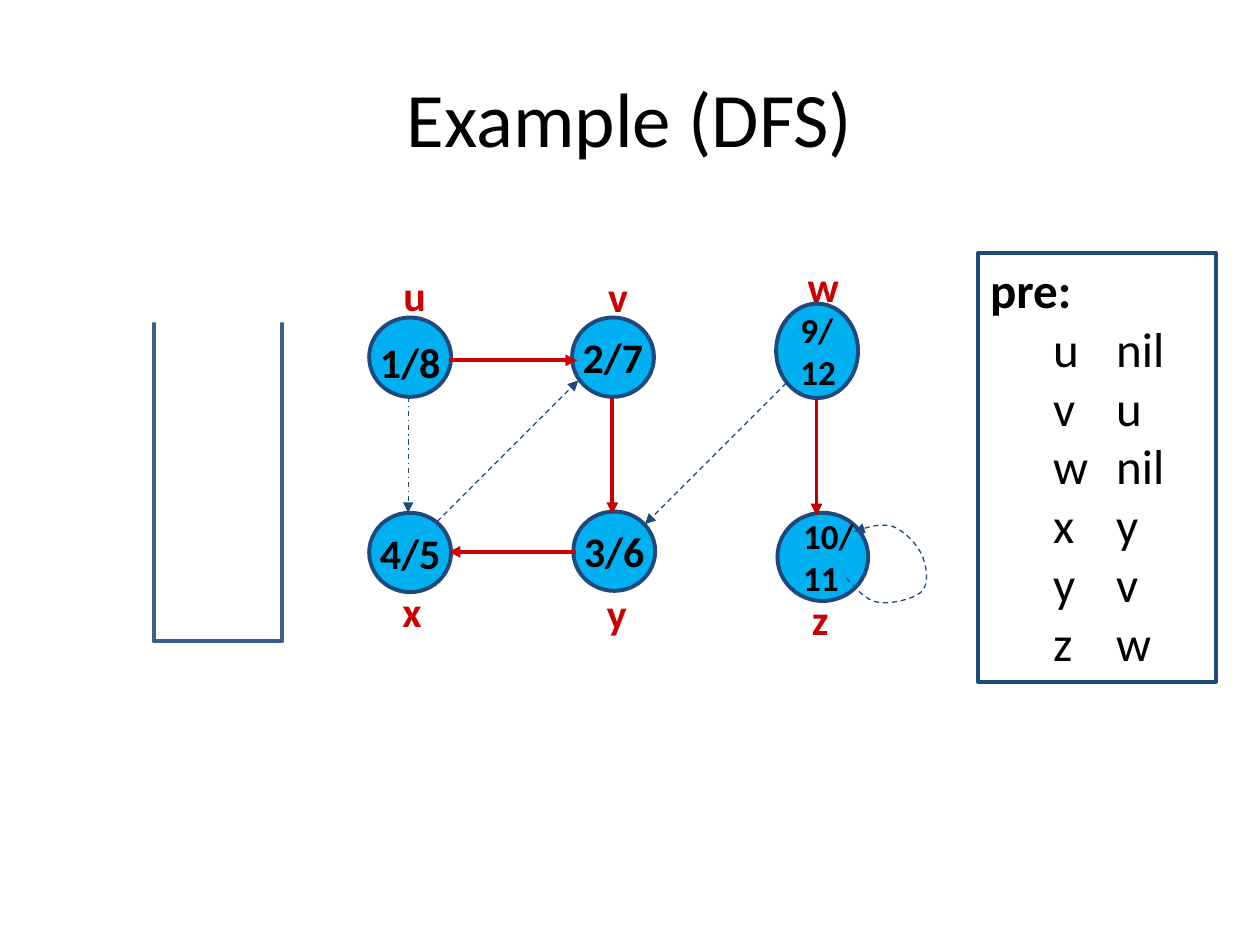
from dataclasses import dataclass
from typing import Optional

from lxml import etree
from pptx import Presentation
from pptx.dml.color import RGBColor
from pptx.enum.dml import MSO_LINE
from pptx.enum.shapes import MSO_CONNECTOR, MSO_SHAPE
from pptx.enum.text import MSO_ANCHOR, PP_ALIGN
from pptx.oxml.ns import qn
from pptx.util import Inches, Pt

BLACK = RGBColor(0x00, 0x00, 0x00)
WHITE = RGBColor(0xFF, 0xFF, 0xFF)
SKY = RGBColor(0x00, 0xB0, 0xF0)
NAVY = RGBColor(0x1F, 0x49, 0x7D)
STEEL = RGBColor(0x3A, 0x5F, 0x8C)
RED = RGBColor(0xCC, 0x00, 0x00)
DARK_RED = RGBColor(0xC0, 0x00, 0x00)

OVAL, RECTANGLE = MSO_SHAPE.OVAL, MSO_SHAPE.RECTANGLE
STRAIGHT = MSO_CONNECTOR.STRAIGHT
DASH, DASH_DOT = MSO_LINE.DASH, MSO_LINE.DASH_DOT
LEFT, CENTER = PP_ALIGN.LEFT, PP_ALIGN.CENTER
TOP, MIDDLE = MSO_ANCHOR.TOP, MSO_ANCHOR.MIDDLE

FONT = "Calibri"
THICK, THIN = 2.25, 0.75
CURVE_STEPS = 10


@dataclass(frozen=True)
class Frame:
    left: float
    top: float
    width: float
    height: float

    def lengths(self):
        return [Inches(v) for v in (self.left, self.top, self.width, self.height)]


@dataclass(frozen=True)
class Node:
    frame: Frame
    lines: tuple = ()
    size: int = 24
    align: PP_ALIGN = CENTER


@dataclass(frozen=True)
class Label:
    text: str
    frame: Frame
    color: RGBColor = RED


@dataclass(frozen=True)
class Edge:
    start: tuple
    end: tuple
    color: RGBColor = RED
    width: float = THICK
    dash: Optional[MSO_LINE] = None


NODES = [
    Node(Frame(2.93, 2.52, 0.65, 0.63)),
    Node(Frame(2.93, 4.07, 0.65, 0.63), ("4/5",)),
    Node(Frame(4.55, 4.06, 0.65, 0.63), ("3/6",)),
    Node(Frame(6.17, 4.07, 0.72, 0.7), ("10/", "11"), 20, LEFT),
    Node(Frame(4.54, 2.52, 0.65, 0.63), ("2/7",)),
    Node(Frame(6.16, 2.41, 0.65, 0.75), ("9/", "12"), 20, LEFT),
]
LABELS = [
    Label("1/8", Frame(2.91, 2.62, 0.69, 0.5), BLACK),
    Label("u", Frame(3.1, 2.09, 0.38, 0.5)),
    Label("v", Frame(4.72, 2.1, 0.37, 0.5)),
    Label("w", Frame(6.31, 2.02, 0.45, 0.5)),
    Label("x", Frame(3.09, 4.6, 0.36, 0.5)),
    Label("y", Frame(4.71, 4.61, 0.37, 0.5)),
    Label("z", Frame(6.34, 4.66, 0.34, 0.5)),
]
EDGES = [
    Edge((4.57, 4.38), (3.56, 4.38)),
    Edge((3.24, 3.15), (3.24, 4.07), NAVY, THIN, DASH_DOT),
    Edge((4.86, 3.16), (4.86, 4.08)),
    Edge((6.48, 3.17), (6.48, 4.09), DARK_RED),
    Edge((3.47, 4.14), (4.59, 3.02), NAVY, THIN, DASH),
    Edge((3.57, 2.86), (4.58, 2.86)),
    Edge((6.24, 3.04), (5.12, 4.16), NAVY, THIN, DASH),
]
LOOP_START = (6.72, 4.59)
LOOP_CURVES = [
    ((6.8, 4.68), (6.88, 4.77), (6.97, 4.78)),
    ((7.07, 4.8), (7.27, 4.75), (7.32, 4.69)),
    ((7.38, 4.62), (7.35, 4.47), (7.31, 4.39)),
    ((7.27, 4.31), (7.17, 4.21), (7.09, 4.18)),
    ((7, 4.15), (6.89, 4.18), (6.78, 4.22)),
]
PREDECESSORS = {"u": "nil", "v": "u", "w": "nil", "x": "y", "y": "v", "z": "w"}


def add_span(para, text: str, size: float, color: RGBColor = BLACK, bold: bool = False) -> None:
    span = para.add_run()
    span.text = text
    span.font.name, span.font.size = FONT, Pt(size)
    span.font.bold, span.font.color.rgb = bold, color


def write_lines(box, lines, size, color=BLACK, bold=True, align=CENTER, anchor=MIDDLE, wrap=False):
    frame = box.text_frame
    frame.word_wrap, frame.vertical_anchor = wrap, anchor
    for number, text in enumerate(lines):
        para = frame.add_paragraph() if number else frame.paragraphs[0]
        para.alignment = align
        add_span(para, text, size, color, bold)


def add_box(shapes, kind, frame: Frame, fill=None, line=None):
    box = shapes.add_shape(kind, *frame.lengths())
    box.shadow.inherit = False
    if fill is None:
        box.fill.background()
    else:
        box.fill.solid()
        box.fill.fore_color.rgb = fill
    if line is None:
        box.line.fill.background()
    else:
        box.line.color.rgb, box.line.width = line, Pt(THICK)
    return box


def style_arrow(shape, color: RGBColor, width: float, dash=None) -> None:
    shape.line.color.rgb, shape.line.width = color, Pt(width)
    if dash is not None:
        shape.line.dash_style = dash
    etree.SubElement(shape.line._get_or_add_ln(), qn("a:tailEnd"), type="triangle")


def add_edge(page, edge: Edge) -> None:
    points = [Inches(v) for v in edge.start + edge.end]
    arrow = page.shapes.add_connector(STRAIGHT, *points)
    style_arrow(arrow, edge.color, edge.width, edge.dash)
    etree.SubElement(arrow._element.spPr, qn("a:effectLst"))


def curve_points(start, curves):
    """Sample a chain of cubic Bezier curves."""
    points = []
    for first, second, end in curves:
        for step in range(1, CURVE_STEPS + 1):
            t = step / CURVE_STEPS
            weights = ((1 - t) ** 3, 3 * t * (1 - t) ** 2, 3 * t * t * (1 - t), t ** 3)
            corners = (start, first, second, end)
            points.append(tuple(
                Inches(sum(w * c[axis] for w, c in zip(weights, corners))) for axis in (0, 1)))
        start = end
    return points


def add_self_loop(page) -> None:
    builder = page.shapes.build_freeform(*(Inches(v) for v in LOOP_START))
    builder.add_line_segments(curve_points(LOOP_START, LOOP_CURVES), close=False)
    loop = builder.convert_to_shape()
    loop.shadow.inherit = False
    loop.fill.background()
    style_arrow(loop, NAVY, THIN, DASH)


def add_predecessors(page) -> None:
    box = add_box(page.shapes, RECTANGLE, Frame(7.76, 2.01, 1.89, 3.4), line=NAVY)
    write_lines(box, ["pre:"], 28, align=LEFT, anchor=TOP, wrap=True)
    for vertex, parent in PREDECESSORS.items():
        para = box.text_frame.add_paragraph()
        para.alignment = LEFT
        properties = para._p.get_or_add_pPr()
        properties.set("marL", "0")
        properties.set("indent", str(Inches(0.5)))
        tabs = etree.SubElement(properties, qn("a:tabLst"))
        etree.SubElement(tabs, qn("a:tab"), pos=str(Inches(1.19)), algn="l")
        add_span(para, f"{vertex}\t{parent}", 28)


def add_stack(page) -> None:
    """Draw the empty stack as a rectangle whose top edge is covered."""
    group = page.shapes.add_group_shape()
    add_box(group.shapes, RECTANGLE, Frame(1.22, 2.49, 1.02, 2.6), line=STEEL)
    add_box(group.shapes, RECTANGLE, Frame(0.91, 2.25, 1.42, 0.31), fill=WHITE)


def main() -> None:
    deck = Presentation()
    deck.slide_width, deck.slide_height = Inches(10), Inches(7.5)
    page = deck.slides.add_slide(deck.slide_layouts[6])
    title = page.shapes.add_textbox(*Frame(0.5, 0.3, 9, 1.25).lengths())
    write_lines(title, ["Example (DFS)"], 44, bold=False, wrap=True)
    for node in NODES:
        circle = add_box(page.shapes, OVAL, node.frame, SKY, NAVY)
        write_lines(circle, node.lines, node.size, align=node.align)
    for edge in EDGES:
        add_edge(page, edge)
    for label in LABELS:
        box = page.shapes.add_textbox(*label.frame.lengths())
        write_lines(box, [label.text], 24, label.color, anchor=TOP)
    add_self_loop(page)
    add_predecessors(page)
    add_stack(page)
    deck.save("out.pptx")


if __name__ == "__main__":
    main()
